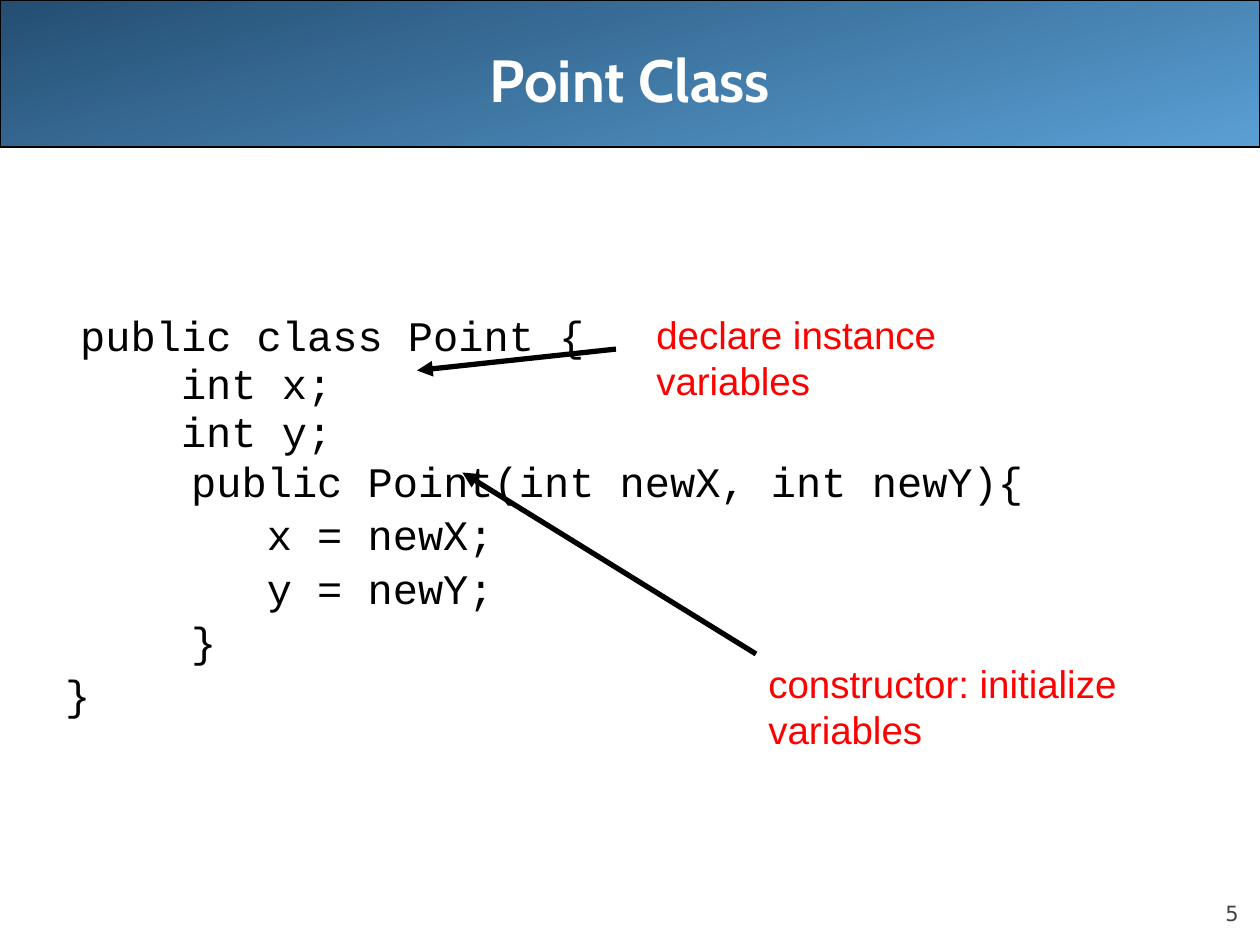
from lxml import etree
from pptx import Presentation
from pptx.dml.color import RGBColor
from pptx.enum.shapes import MSO_CONNECTOR, MSO_SHAPE
from pptx.enum.text import MSO_ANCHOR, PP_ALIGN
from pptx.oxml.ns import qn
from pptx.util import Pt

ROUND_RECT = MSO_SHAPE.ROUNDED_RECTANGLE
STRAIGHT = MSO_CONNECTOR.STRAIGHT
TOP, MIDDLE, BOTTOM = MSO_ANCHOR.TOP, MSO_ANCHOR.MIDDLE, MSO_ANCHOR.BOTTOM
LEFT, CENTER, RIGHT = PP_ALIGN.LEFT, PP_ALIGN.CENTER, PP_ALIGN.RIGHT
TITLE_ONLY = 5

CODE = [
    ("public class Point {", 26.6, 0.7, 0),
    ("int x;", 84.2, 0.7, 7.4),
    ("int y;", 84.2, 0.7, 7.4),
    ("public Point(int newX, int newY){", 90, 0.8, 6),
    ("x = newX;", 133.2, 0.8, 7.4),
    ("y = newY;", 133.2, 0.8, 7.4),
    ("}", 90, 0.8, 7.4),
    ("}", 18, 0.8, 7.4),
]


def color(hex_code):
    return RGBColor.from_string(hex_code)


def style(p, font, size, hex_code, bold=False, align=LEFT):
    p.alignment = align
    for r in p.runs:
        r.font.name = font
        r.font.size = Pt(size)
        r.font.bold = bold
        r.font.color.rgb = color(hex_code)


def text_box(s, box, anchor=TOP):
    tf = s.shapes.add_textbox(*map(Pt, box)).text_frame
    tf.word_wrap = True
    tf.vertical_anchor = anchor
    return tf


def add_banner(s, box):
    sp = s.shapes.add_shape(ROUND_RECT, *map(Pt, box))
    sp.adjustments[0] = 0
    sp.shadow.inherit = False
    sp.fill.gradient()
    sp.fill.gradient_angle = 285
    for stop, hex_code in zip(sp.fill.gradient_stops, ("244E72", "5A9FD4")):
        stop.color.rgb = color(hex_code)
    sp.line.color.rgb = color("000000")
    sp.line.width = Pt(0.75)
    s.shapes._spTree.insert(2, sp._element)


def add_title(s, box, text):
    sp = s.shapes.title
    sp.left, sp.top, sp.width, sp.height = map(Pt, box)
    tf = sp.text_frame
    tf.text = text
    tf.vertical_anchor = MIDDLE
    style(tf.paragraphs[0], "Cabin", 34, "FFFFFF", True, CENTER)


def add_page_number(s, box, number):
    tf = text_box(s, box, BOTTOM)
    tf.margin_left = tf.margin_top = tf.margin_right = tf.margin_bottom = 0
    tf.text = number
    style(tf.paragraphs[0], "DejaVu Sans", 12, "424242", align=RIGHT)


def add_code(s, box, lines):
    tf = text_box(s, box)
    tf.margin_top = Pt(82.5)
    for i, (text, indent, spacing, before) in enumerate(lines):
        p = tf.paragraphs[0] if i == 0 else tf.add_paragraph()
        p.text = text
        p.line_spacing = spacing
        p.space_before = Pt(before)
        p._p.get_or_add_pPr().set("marL", str(Pt(indent)))
        style(p, "Courier New", 24, "000000")


def add_note(s, box, text, start, end):
    tf = text_box(s, box)
    tf.text = text
    style(tf.paragraphs[0], "Arial", 22, "FF0000")
    arrow = s.shapes.add_connector(STRAIGHT, *map(Pt, start + end))
    arrow.line.color.rgb = color("000000")
    arrow.line.width = Pt(3)
    etree.SubElement(arrow.line._get_or_add_ln(), qn("a:tailEnd"), type="triangle")
    etree.SubElement(arrow._element.spPr, qn("a:effectLst"))


def main():
    prs = Presentation()
    prs.slide_width, prs.slide_height = Pt(720), Pt(540)
    s = prs.slides.add_slide(prs.slide_layouts[TITLE_ONLY])
    add_banner(s, (0, 0, 720, 84))
    add_page_number(s, (648, 500.4, 59.8, 28.8), "5")
    add_title(s, (36, 0, 648, 90), "Point Class")
    add_code(s, (12.2, 102.2, 707.8, 437.8), CODE)
    add_note(s, (368, 174.2, 203.8, 60.5), "declare instance variables",
             (352, 199.5), (238.3, 211.7))
    add_note(s, (432, 373.7, 221.8, 60.5), "constructor: initialize variables",
             (432, 373.7), (264.2, 270))
    prs.save("out.pptx")


if __name__ == "__main__":
    main()
